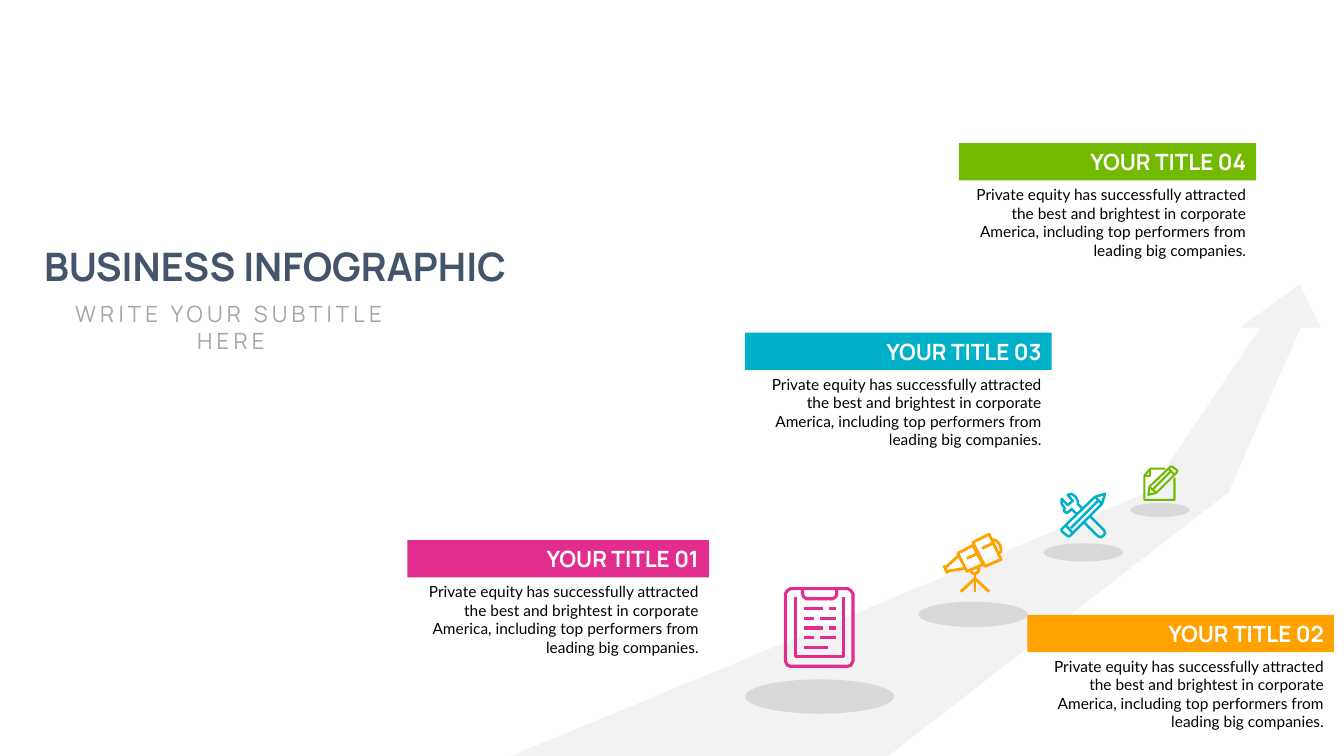
from pptx import Presentation
from pptx.dml.color import RGBColor
from pptx.enum.shapes import MSO_SHAPE
from pptx.enum.text import MSO_ANCHOR, PP_ALIGN
from pptx.util import Inches, Pt

COLORS = {
    "title": "44546A", "subtitle": "A6A6A6", "body": "000000", "white": "FFFFFF",
    "road": "F2F2F2", "spot": "D9D9D9",
    "pink": "E32D8E", "orange": "FFA200", "cyan": "00B0C9", "green": "72BA00",
}
BODY = ("Private equity has successfully attracted the best and brightest in corporate "
        "America, including top performers from leading big companies.")
BANNER_HEIGHT = 0.37
BODY_WIDTH, BODY_HEIGHT = 3.11, 0.84

# Outlines in inches from the top left corner of their box
ROAD = [(6.35, 2.05), (7.13, 2.05), (3.74, 4.68), (0, 4.68), (6.35, 2.05)]
ARROW = [(7.82, 0), (7.23, 0.43), (7.43, 0.43), (6.34, 2.05), (7.12, 2.05),
         (7.83, 0.43), (8.03, 0.43), (7.82, 0)]

CLIPBOARD = [
    [(0.06, 0.01), (0.63, 0.01), (0.66, 0.03), (0.68, 0.06), (0.68, 0.73), (0.66, 0.77),
     (0.63, 0.78), (0.06, 0.78), (0.03, 0.77), (0.01, 0.73), (0.01, 0.06), (0.03, 0.03),
     (0.06, 0.01)],
    [(0.18, 0.01), (0.18, 0.06), (0.19, 0.09), (0.22, 0.11), (0.48, 0.11), (0.51, 0.09),
     (0.52, 0.06), (0.52, 0.01)],
    [(0.11, 0.09), (0.11, 0.68), (0.59, 0.68), (0.59, 0.09)],
    [(0.19, 0.59), (0.43, 0.59)],
]
for row in range(4):
    row_y = 0.21 + 0.095 * row
    gap_left, gap_right = ((0.38, 0.44), (0.29, 0.35))[row % 2]
    CLIPBOARD += [[(0.19, row_y), (gap_left, row_y)], [(gap_right, row_y), (0.51, row_y)]]

TELESCOPE = [
    [(0.3, 0.09), (0.46, 0.01), (0.58, 0.26), (0.42, 0.33), (0.3, 0.09)],
    [(0.15, 0.2), (0.3, 0.12), (0.4, 0.31), (0.24, 0.38), (0.15, 0.2)],
    [(0.01, 0.32), (0.05, 0.4)],
    [(0.03, 0.34), (0.15, 0.23)],
    [(0.04, 0.38), (0.21, 0.35)],
    [(0.49, 0.06), (0.54, 0.08), (0.57, 0.12), (0.58, 0.16), (0.57, 0.2)],
    [(0.39, 0.15), (0.5, 0.1)],
    [(0.24, 0.25), (0.35, 0.2)],
    [(0.28, 0.38), (0.3, 0.4), (0.32, 0.4), (0.35, 0.39), (0.36, 0.36), (0.35, 0.33)],
    [(0.32, 0.4), (0.32, 0.58)],
    [(0.18, 0.58), (0.32, 0.45), (0.46, 0.58)],
]
TOOLS = [
    [(0.44, 0.01), (0.34, 0.04), (0.05, 0.32), (0.01, 0.36), (0.01, 0.38), (0.07, 0.43),
     (0.09, 0.43), (0.12, 0.4), (0.41, 0.11), (0.44, 0.01)],
    [(0.34, 0.04), (0.41, 0.11)],
    [(0.37, 0.08), (0.1, 0.35)],
    [(0.05, 0.32), (0.12, 0.4)],
    [(0.16, 0.21), (0.11, 0.16), (0.09, 0.18), (0.06, 0.2), (0.03, 0.18), (0.04, 0.15),
     (0.01, 0.11), (0.01, 0.06), (0.07, 0.12), (0.12, 0.08), (0.07, 0.02), (0.11, 0.01),
     (0.15, 0.04), (0.17, 0.08), (0.17, 0.11), (0.22, 0.16)],
    [(0.23, 0.29), (0.37, 0.43), (0.4, 0.44), (0.43, 0.42), (0.44, 0.4), (0.43, 0.37),
     (0.29, 0.23)],
]
NOTE = [
    [(0.22, 0.03), (0.07, 0.03), (0.01, 0.1), (0.01, 0.34), (0.31, 0.34), (0.31, 0.12)],
    [(0.07, 0.03), (0.07, 0.1), (0.01, 0.1)],
    [(0.05, 0.29), (0.06, 0.21), (0.27, 0.01), (0.29, 0.01), (0.34, 0.05), (0.33, 0.07),
     (0.13, 0.27), (0.05, 0.29)],
    [(0.06, 0.21), (0.13, 0.27)],
    [(0.09, 0.24), (0.28, 0.05)],
    [(0.25, 0.03), (0.31, 0.09)],
]

# Banner box (left, top, width), heading and colour
STEPS = [
    (4.04, 5.36, 2.99, "YOUR TITLE 01", "pink"),
    (7.39, 3.3, 3.04, "YOUR TITLE 03", "cyan"),
    (10.19, 6.1, 3.04, "YOUR TITLE 02", "orange"),
    (9.51, 1.42, 2.95, "YOUR TITLE 04", "green"),
]
SPOTS = [(7.39, 6.74, 1.48, 0.34), (9.11, 5.97, 1.08, 0.25),
         (11.21, 4.99, 0.59, 0.14), (10.35, 5.39, 0.79, 0.18)]
# Left, top, strokes, colour and line width
ICONS = [
    (10.52, 4.89, TOOLS, "cyan", 1.75),
    (9.35, 5.29, TELESCOPE, "orange", 2),
    (7.78, 5.83, CLIPBOARD, "pink", 2.25),
    (11.34, 4.62, NOTE, "green", 1.5),
]


def color(name):
    return RGBColor.from_string(COLORS[name])


def write(shape, text, size, font, color_name, align, bold=False, wrap=True):
    """Put one formatted run into the shape and return the run."""
    frame = shape.text_frame
    frame.word_wrap = wrap
    para = frame.paragraphs[0]
    para.alignment = align
    span = para.add_run()
    span.text = text
    span.font.size = Pt(size)
    span.font.name = font
    span.font.bold = bold
    span.font.color.rgb = color(color_name)
    return span


def add_text_box(page, left, top, width, height):
    return page.shapes.add_textbox(Inches(left), Inches(top), Inches(width), Inches(height))


def add_filled(page, kind, left, top, width, height, color_name):
    shape = page.shapes.add_shape(kind, Inches(left), Inches(top), Inches(width), Inches(height))
    shape.shadow.inherit = False
    shape.fill.solid()
    shape.fill.fore_color.rgb = color(color_name)
    shape.line.fill.background()
    return shape


def add_outline(page, left, top, strokes):
    """Join strokes, given relative to left and top, into one freeform."""
    placed = [[(Inches(left + x), Inches(top + y)) for x, y in stroke] for stroke in strokes]
    builder = page.shapes.build_freeform(*placed[0][0])
    for number, stroke in enumerate(placed):
        if number:
            builder.move_to(*stroke[0])
        builder.add_line_segments(stroke[1:], close=stroke[0] == stroke[-1])
    shape = builder.convert_to_shape()
    shape.shadow.inherit = False
    return shape


def add_heading(page, left, top):
    title = add_text_box(page, left, top, 4.9, 0.57)
    write(title, "BUSINESS INFOGRAPHIC", 28, "Manrope", "title", PP_ALIGN.CENTER, True, False)
    subtitle = add_text_box(page, left, top + 0.58, 4.02, 0.37)
    span = write(subtitle, "WRITE YOUR SUBTITLE HERE", 16, "Manrope", "subtitle",
                 PP_ALIGN.CENTER)
    span.font._element.set("spc", "300")


def add_road(page, left, top):
    for outline in (ROAD, ARROW):
        shape = add_outline(page, left, top, [outline])
        shape.fill.solid()
        shape.fill.fore_color.rgb = color("road")
        shape.line.fill.background()


def add_step(page, left, top, width, heading, color_name):
    """Place a banner with its description below, aligned on the right edge."""
    banner = add_filled(page, MSO_SHAPE.RECTANGLE, left, top, width, BANNER_HEIGHT, color_name)
    banner.text_frame.vertical_anchor = MSO_ANCHOR.MIDDLE
    write(banner, heading, 16, "Manrope", "white", PP_ALIGN.RIGHT, True)
    body = add_text_box(page, left + width - BODY_WIDTH, top + BANNER_HEIGHT,
                        BODY_WIDTH, BODY_HEIGHT)
    write(body, BODY, 11, "Lato", "body", PP_ALIGN.RIGHT)


def add_icon(page, left, top, strokes, color_name, line_width):
    icon = add_outline(page, left, top, strokes)
    icon.fill.background()
    icon.line.color.rgb = color(color_name)
    icon.line.width = Pt(line_width)


def main():
    deck = Presentation()
    deck.slide_width, deck.slide_height = Inches(13.33), Inches(7.5)
    page = deck.slides.add_slide(deck.slide_layouts[6])
    add_heading(page, 0.28, 2.35)
    add_road(page, 5.07, 2.82)
    for spot in SPOTS:
        add_filled(page, MSO_SHAPE.OVAL, *spot, "spot")
    for step in STEPS:
        add_step(page, *step)
    for icon in ICONS:
        add_icon(page, *icon)
    deck.save("out.pptx")


if __name__ == "__main__":
    main()
